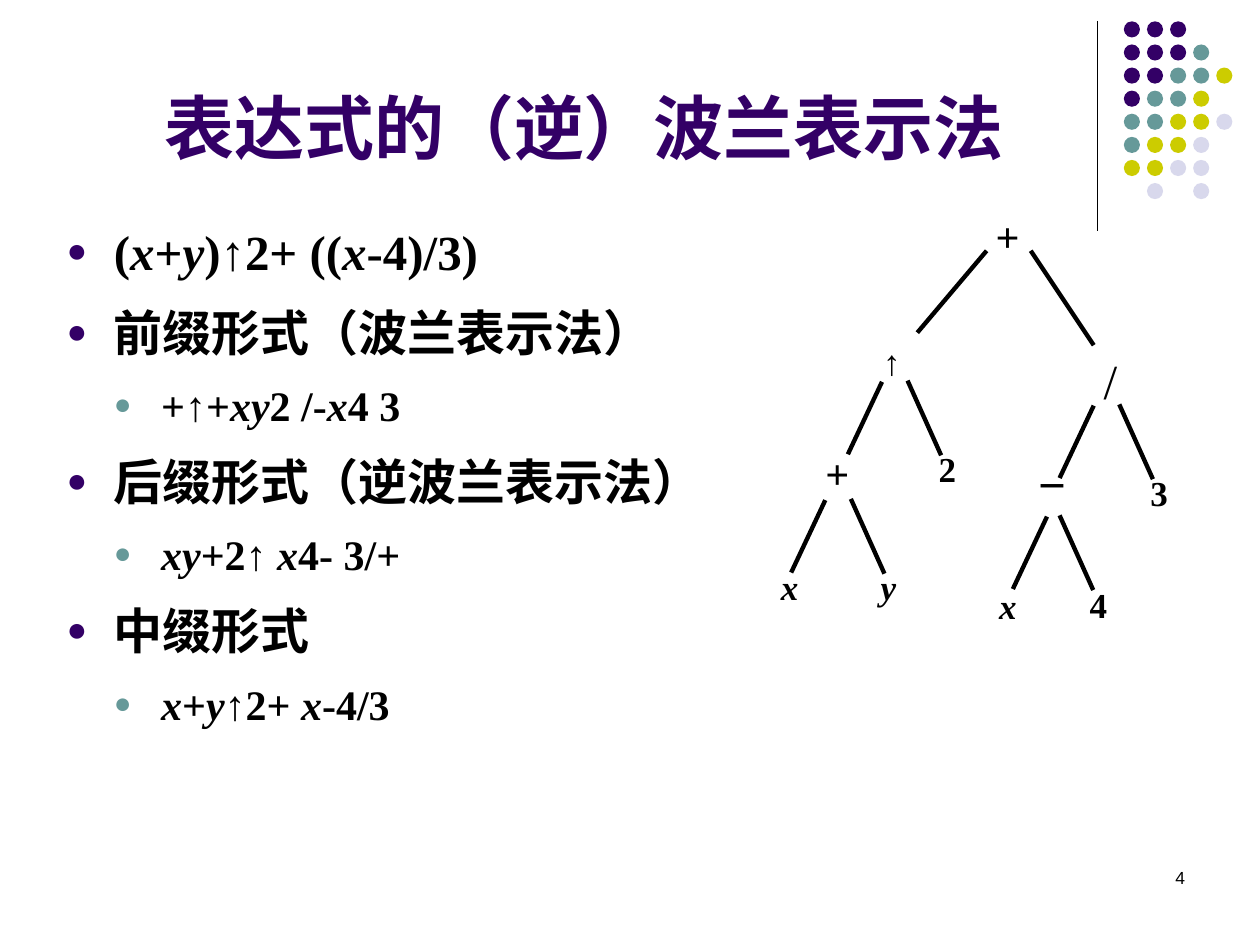
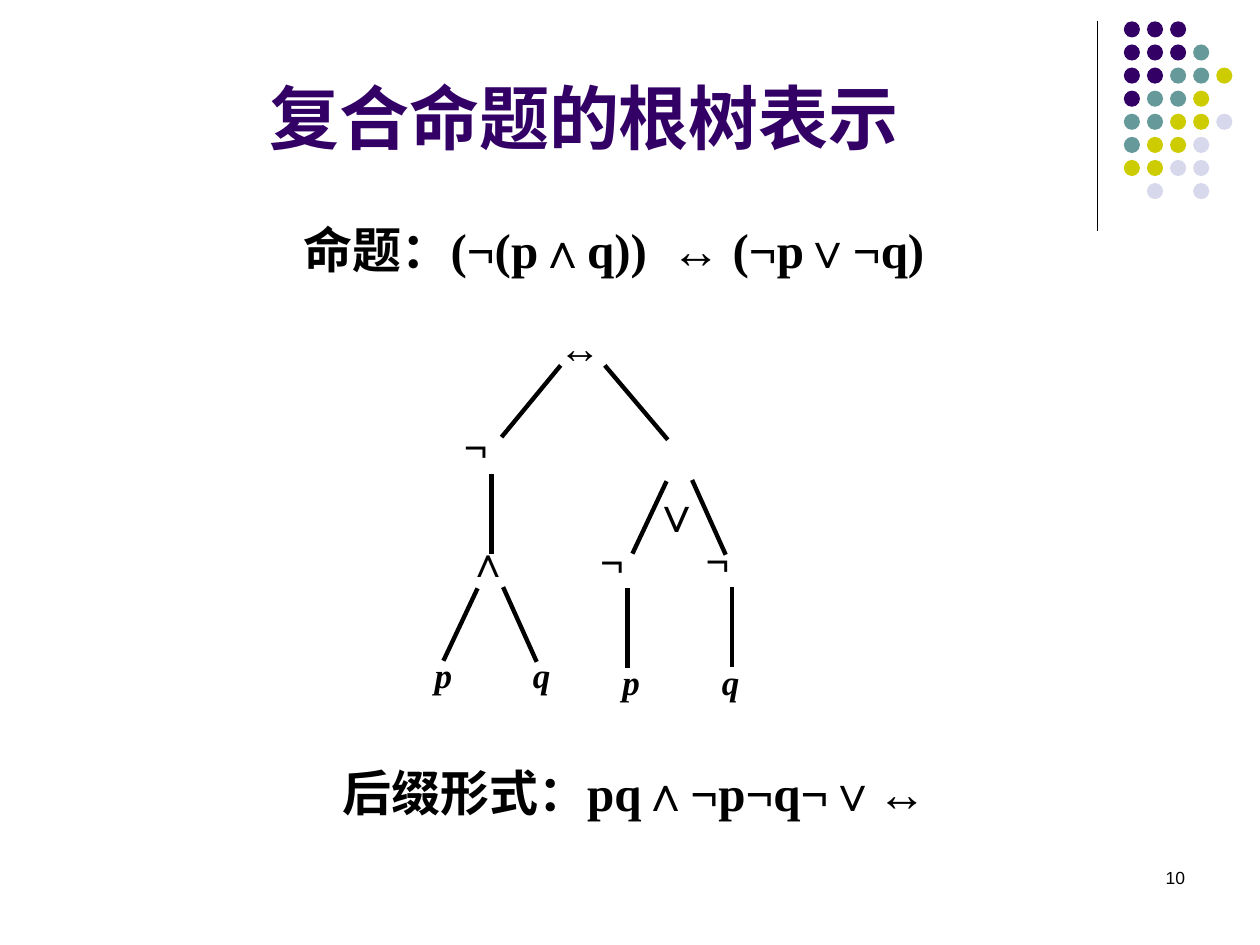
from lxml.etree import SubElement
from pptx import Presentation
from pptx.dml.color import RGBColor
from pptx.enum.lang import MSO_LANGUAGE_ID as LANGUAGE
from pptx.enum.shapes import MSO_CONNECTOR as CONNECTOR, MSO_SHAPE as SHAPE
from pptx.enum.text import MSO_ANCHOR as ANCHOR, MSO_AUTO_SIZE as AUTO_SIZE, PP_ALIGN as ALIGN
from pptx.oxml.ns import qn
from pptx.util import Pt

PURPLE, TEAL, BLACK = "330066", "669999", "000000"
DOT_COLOURS = {"P": PURPLE, "T": TEAL, "Y": "CCCC00", "L": "D8D8EC"}
DOT_ROWS = ["PPP", "PPPT", "PPTTY", "PTTY", "TTYYL", "TYYL", "YYLL", " L L"]
DOT_PITCH, DOT_SIZE = 13.2, 9.2
INDENT = 27
EDGE_WIDTH = 2.5


def colour(hex_code):
    """Turn a hex string into a colour."""
    return RGBColor.from_string(hex_code)


def write(paragraph, text, size=20, font="Times New Roman", ink=BLACK,
          bold=True, align=ALIGN.JUSTIFY):
    """Write text into a paragraph; parts between asterisks are italic."""
    paragraph.alignment = align
    for index, part in enumerate(text.split("*")):
        if part:
            run = paragraph.add_run()
            run.text = part
            run.font.size = Pt(size)
            run.font.name = font
            run.font.bold = bold
            run.font.italic = index % 2 == 1
            run.font.color.rgb = colour(ink)
            run.font.language_id = LANGUAGE.SIMPLIFIED_CHINESE


def add_label(slide, text, x, y, width=40, height=29, **style):
    """Add a wrapping text box with one paragraph and return the paragraph."""
    frame = slide.shapes.add_textbox(Pt(x), Pt(y), Pt(width), Pt(height)).text_frame
    frame.word_wrap = True
    paragraph = frame.paragraphs[0]
    write(paragraph, text, **style)
    return paragraph


def add_line(slide, x1, y1, x2, y2, width=EDGE_WIDTH):
    """Draw a straight black line without a shadow."""
    line = slide.shapes.add_connector(CONNECTOR.STRAIGHT, Pt(x1), Pt(y1), Pt(x2), Pt(y2))
    line.line.color.rgb = colour(BLACK)
    line.line.width = Pt(width)
    SubElement(line._element.spPr, qn("a:effectLst"))


def add_branch(slide, x, y, gap=14.6):
    """Draw the two edges that lead down from an operator to its operands."""
    add_line(slide, x, y, x - 19.5, y + 41.4)
    add_line(slide, x + gap, y - 0.7, x + gap + 19.2, y + 42)


def add_stem(slide, x, y):
    """Draw the single edge below a negation."""
    add_line(slide, x, y, x, y + 45.6)


def set_spacing(paragraph, size, level=0):
    """Give a paragraph the hanging indent and spacing of the body text."""
    paragraph.line_spacing = 1.2
    paragraph.space_before = Pt(size * 0.2)
    properties = paragraph._p.get_or_add_pPr()
    properties.set("marL", str(Pt(INDENT * (level + 1))))
    properties.set("indent", str(-Pt(INDENT)))
    return properties


def add_bullet(properties, hex_code):
    """Add a round bullet to paragraph properties."""
    bullet_colour = SubElement(properties, qn("a:buClr"))
    SubElement(bullet_colour, qn("a:srgbClr"), val=hex_code)
    SubElement(properties, qn("a:buSzPct"), val="70000")
    SubElement(properties, qn("a:buFont"), typeface="Times New Roman")
    SubElement(properties, qn("a:buChar"), char="●")


def add_outline(slide, items, x, y, width, height):
    """Add a two-level bullet list from (level, text) pairs."""
    frame = slide.shapes.add_textbox(Pt(x), Pt(y), Pt(width), Pt(height)).text_frame
    frame.word_wrap = True
    for index, (level, text) in enumerate(items):
        paragraph = frame.add_paragraph() if index else frame.paragraphs[0]
        size = (28, 24)[level]
        write(paragraph, text, size=size)
        paragraph.level = level
        add_bullet(set_spacing(paragraph, size, level), (PURPLE, TEAL)[level])


def add_formula(slide, text, x, y):
    """Add a centred line of large text across the slide."""
    paragraph = add_label(slide, text, x, y, 663, 51, size=28, align=ALIGN.CENTER)
    set_spacing(paragraph, 28)


def add_dots(slide):
    """Draw the corner rule and the grid of coloured dots."""
    add_line(slide, 627, 12, 627, 132, width=0.75)
    for row, codes in enumerate(DOT_ROWS):
        for column, code in enumerate(codes):
            if code in DOT_COLOURS:
                dot = slide.shapes.add_shape(
                    SHAPE.OVAL, Pt(642.2 + column * DOT_PITCH), Pt(12.2 + row * DOT_PITCH),
                    Pt(DOT_SIZE), Pt(DOT_SIZE))
                dot.shadow.inherit = False
                dot.fill.solid()
                dot.fill.fore_color.rgb = colour(DOT_COLOURS[code])
                dot.line.fill.background()


def start_slide(deck, heading, heading_height, number):
    """Add a slide with the shared corner, title and page number."""
    slide = deck.slides.add_slide(deck.slide_layouts[5])
    add_dots(slide)
    title = slide.shapes.title
    title.left, title.top = Pt(36.7), Pt(31.7)
    title.width, title.height = Pt(594), Pt(heading_height)
    frame = title.text_frame
    frame.auto_size = AUTO_SIZE.NONE
    frame.vertical_anchor = ANCHOR.BOTTOM
    write(frame.paragraphs[0], heading, size=40, ink=PURPLE, align=ALIGN.CENTER)
    add_label(slide, number, 516.2, 491.8, 168, 36, size=10, font="Arial",
              bold=False, align=ALIGN.RIGHT)
    return slide


def build_polish_notation(deck):
    """Build the slide on prefix, postfix and infix forms."""
    slide = start_slide(deck, "表达式的（逆）波兰表示法", 68.4, "4")
    add_outline(slide, [
        (0, "(*x*+*y*)↑2+ ((*x*-4)/3)"),
        (0, "前缀形式（波兰表示法）"),
        (1, "+↑+*xy*2 /-*x*4 3"),
        (0, "后缀形式（逆波兰表示法）"),
        (1, "*xy*+2↑ *x*4- 3/+"),
        (0, "中缀形式"),
        (1, "*x*+*y*↑2+ *x*-4/3 "),
    ], 31, 116.6, 386, 363)

    add_line(slide, 563.8, 143.3, 524.2, 190.1)
    add_line(slide, 589, 143.3, 625, 197.3)
    add_branch(slide, 504, 218.2)
    add_branch(slide, 471.6, 285.8)
    add_branch(slide, 625, 231.8)
    add_branch(slide, 598.3, 295.2, gap=7.2)

    for x, y in [(558.7, 116.6), (461.5, 252)]:
        add_label(slide, "+", x, y, 34, 23, size=24, align=ALIGN.CENTER)
    add_label(slide, "−", 586.1, 255.6, 28.8, 28, size=28, align=ALIGN.CENTER)
    add_label(slide, "/", 623.5, 196.6, size=28, bold=False)
    for x, y in [(439.2, 319.7), (563.8, 330.5)]:
        add_label(slide, "*x*", x, y, 22.5, 23)
    for text, x, y in [("↑", 497.5, 190.8), ("2", 529.2, 252), ("*y*", 496.1, 319.7),
                       ("3", 650.2, 265.7), ("4", 615.6, 329.8)]:
        add_label(slide, text, x, y)


def build_proposition_tree(deck):
    """Build the slide on the rooted tree of a compound proposition."""
    slide = start_slide(deck, "复合命题的根树表示", 62.6, "10")
    add_formula(slide, "命题：(¬(p∧q))  ↔ (¬p∨¬q)", 19.4, 115.2)
    add_formula(slide, "后缀形式：pq∧¬p¬q¬∨↔", 31, 425.5)

    add_line(slide, 320.4, 208.8, 286.6, 249.8)
    add_line(slide, 345.6, 208.8, 381.6, 251.3)
    add_branch(slide, 272.9, 336.2)
    add_branch(slide, 380.9, 275)
    for x, y in [(280.8, 270.7), (358.6, 336.2), (418.3, 335.5)]:
        add_stem(slide, x, y)

    add_label(slide, " ↔", 291.6, 180, 73.4, 28, size=24, align=ALIGN.CENTER)
    add_label(slide, " ∧", 253.4, 302.4, 45.4, 35, size=24, align=ALIGN.CENTER)
    add_label(slide, " ∨", 365.8, 239, size=28, bold=False)
    for x, y in [(252, 236.9), (329.8, 302.4), (390.2, 301.7)]:
        add_label(slide, " ¬", x, y, size=24)
    for text, x, y in [("*p*", 241.2, 370), ("*q*", 297.4, 370),
                       ("*p*", 348.5, 373.7), ("*q*", 405.4, 373.7)]:
        add_label(slide, text, x, y, 23, 23)


def main():
    """Build and save the deck."""
    deck = Presentation()
    deck.slide_width, deck.slide_height = Pt(720), Pt(540)
    build_polish_notation(deck)
    build_proposition_tree(deck)
    deck.save("out.pptx")


main()
